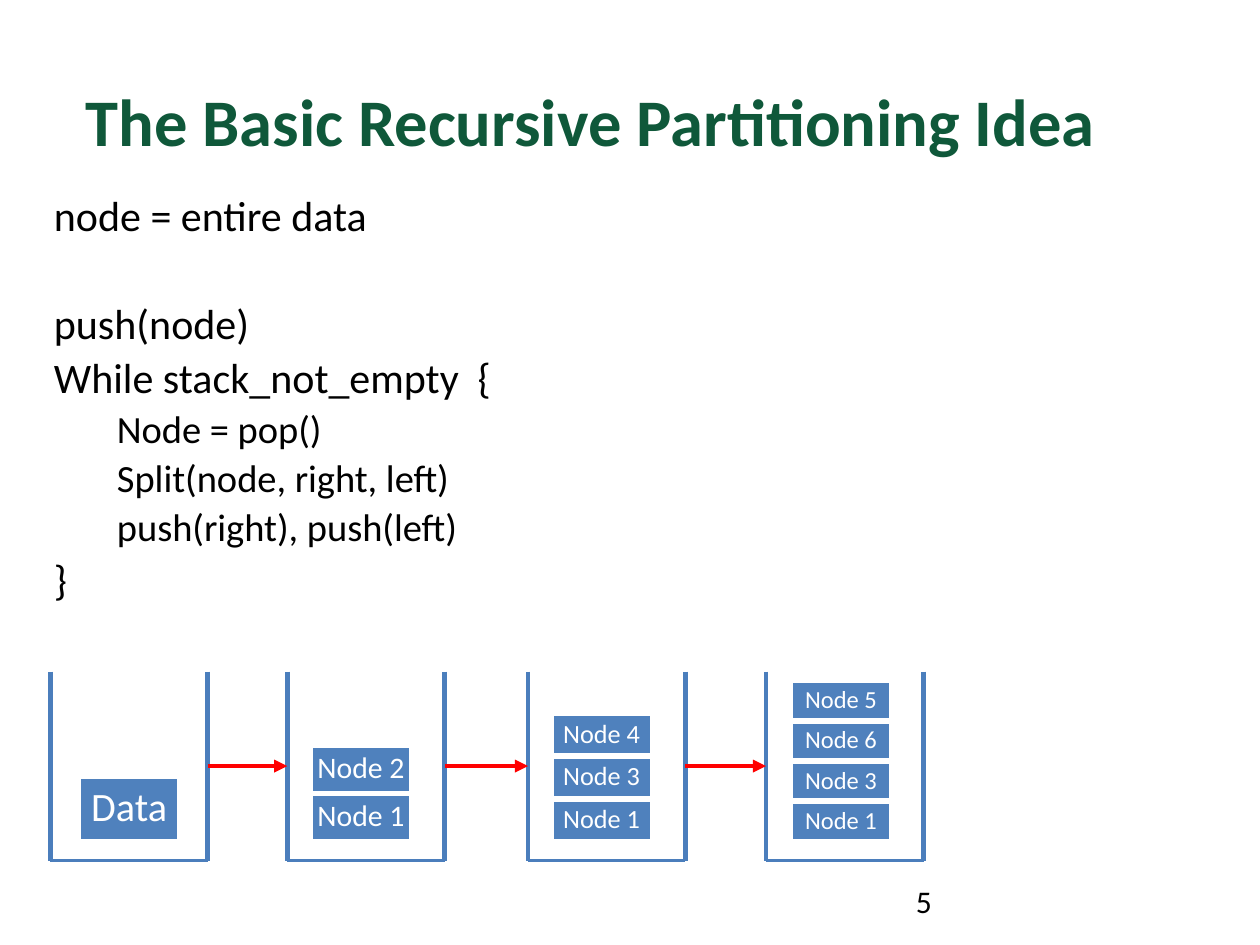
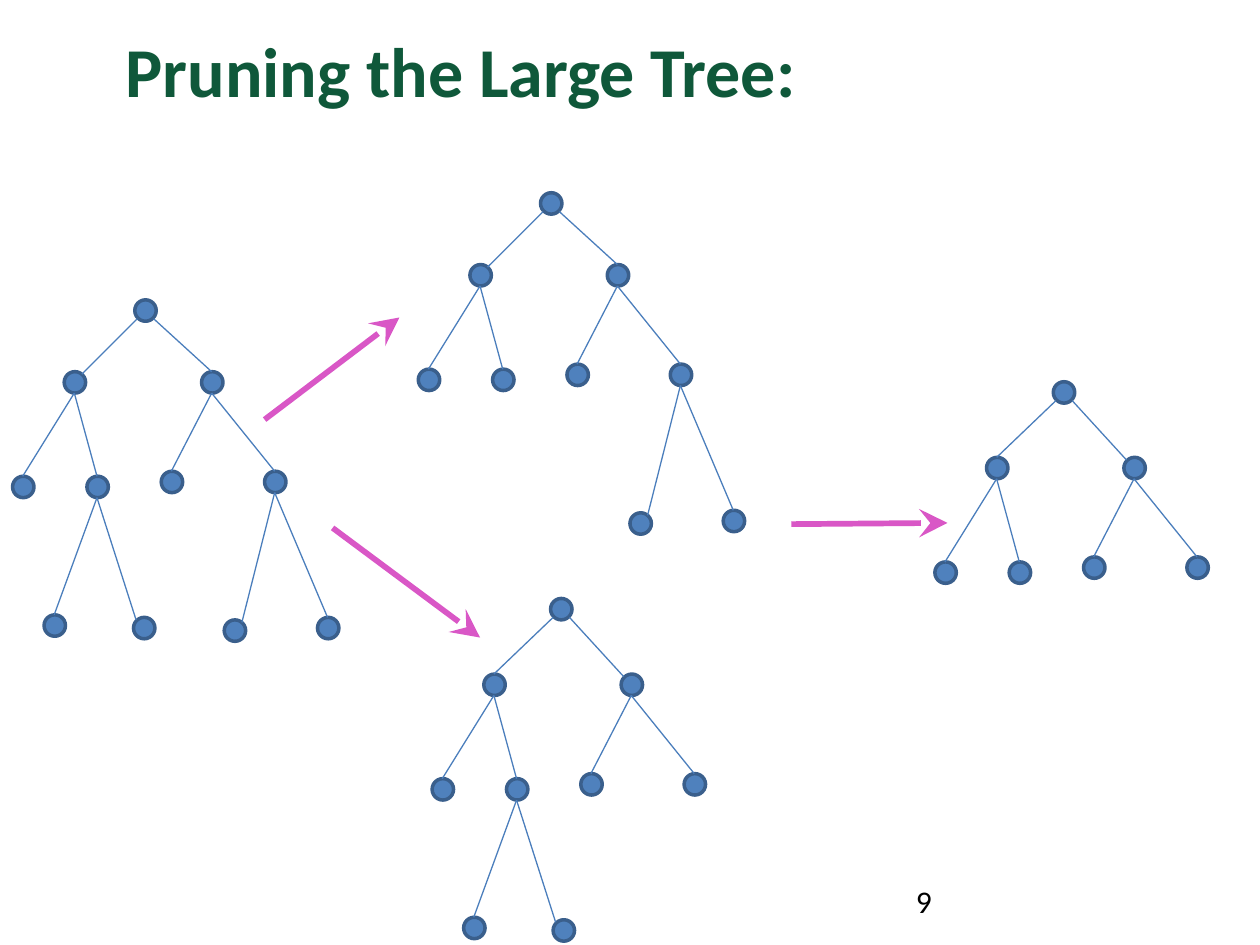
from itertools import pairwise

from lxml import etree
from pptx import Presentation
from pptx.dml.color import RGBColor
from pptx.enum.shapes import MSO_CONNECTOR as CONNECTOR, MSO_SHAPE as SHAPE
from pptx.enum.text import MSO_ANCHOR as ANCHOR, PP_ALIGN as ALIGN
from pptx.oxml.ns import qn
from pptx.util import Inches, Pt

# Shared look
FONT = "Calibri"
BLACK, WHITE, GREEN = "000000", "FFFFFF", "0F583A"
BLUE, EDGE_BLUE, RIM_BLUE = "4F81BD", "4B7EBC", "3A5F8C"
RED, PINK = "FF0000", "D957C6"

# Tree dots, placed from the top left corner of the root's left child "L"
DOT = 0.17
BRANCHES = {
    "L": (0, 0), "R": (1.09, 0),
    "LL": (-0.41, 0.83), "LR": (0.18, 0.83),
    "RL": (0.77, 0.79), "RR": (1.59, 0.79),
    "LRL": (-0.16, 1.93), "LRR": (0.55, 1.95),
    "RRL": (1.27, 1.97), "RRR": (2.01, 1.95),
}
# Points on a dot's rim
SITES = {
    "top": (0.08, 0), "bottom": (0.08, DOT),
    "top left": (0.02, 0.02), "top right": (0.14, 0.02),
    "bottom left": (0.02, 0.15), "bottom right": (0.15, 0.15),
}
START_SITES = {"L": "bottom left", "R": "bottom right"}
END_SITES = {"LRR": "top left", "RRL": "top right"}
# Root position and where its two edges land
CENTRED_ROOT = (0.56, -0.57), {"L": "top right", "R": "top"}
RAISED_ROOT = (0.53, -0.6), {"L": "top", "R": "top left"}


def rgb(value):
    return RGBColor.from_string(value)


def set_font(paragraph, size, color, bold=False):
    font = paragraph.font
    font.name, font.size, font.bold = FONT, Pt(size), bold
    font.color.rgb = rgb(color)


def add_text(slide, box, text, size, color=BLACK, bold=False, anchor=ANCHOR.TOP):
    frame = slide.shapes.add_textbox(*map(Inches, box)).text_frame
    frame.word_wrap = True
    frame.vertical_anchor = anchor
    frame.text = text
    set_font(frame.paragraphs[0], size, color, bold)


def add_title(slide, box, text, size):
    add_text(slide, box, text, size, GREEN, bold=True, anchor=ANCHOR.MIDDLE)


def add_page_number(slide, number):
    add_text(slide, (7.17, 6.95, 2.33, 0.4), str(number), 18)


def add_shape(slide, kind, box, line_color, line_width=2):
    shape = slide.shapes.add_shape(kind, *map(Inches, box))
    shape.shadow.inherit = False
    shape.fill.solid()
    shape.fill.fore_color.rgb = rgb(BLUE)
    shape.line.color.rgb = rgb(line_color)
    shape.line.width = Pt(line_width)
    return shape


def add_line(slide, start, end, color, width, head=None, head_size="med"):
    line = slide.shapes.add_connector(
        CONNECTOR.STRAIGHT, *map(Inches, (*start, *end)))
    line.line.color.rgb = rgb(color)
    line.line.width = Pt(width)
    if head:
        etree.SubElement(line.line._get_or_add_ln(), qn("a:tailEnd"),
                         type=head, w=head_size, len=head_size)
    etree.SubElement(line._element.spPr, qn("a:effectLst"))


def add_pseudocode(slide, box, steps):
    """Steps are (text, level, space before in points)."""
    frame = slide.shapes.add_textbox(*map(Inches, box)).text_frame
    frame.word_wrap = True
    for i, (text, level, space) in enumerate(steps):
        step = frame.add_paragraph() if i else frame.paragraphs[0]
        step.text = text
        step.level = level
        step.line_spacing = 0.9
        step.space_before = Pt(space)
        step._p.get_or_add_pPr().set("marL", str(Inches(0.5 * level)))
        set_font(step, 22 if level else 24, BLACK)


def add_stack(slide, box, nodes, node_left, height, pitch, size, inset):
    """An open container with its nodes listed from the top down."""
    left, top, width, depth = box
    right, floor = left + width, top + depth
    bottom_node = floor - 0.16 - height
    for level, name in enumerate(reversed(nodes)):
        node = add_shape(
            slide, SHAPE.RECTANGLE,
            (left + node_left, bottom_node - level * pitch, 0.79, height), WHITE)
        frame = node.text_frame
        frame.margin_left = frame.margin_right = Inches(inset)
        frame.margin_top = frame.margin_bottom = Inches(inset)
        # Labels fill the node's width, so they stay on one line
        frame.word_wrap = False
        frame.vertical_anchor = ANCHOR.MIDDLE
        frame.text = name
        label = frame.paragraphs[0]
        label.alignment = ALIGN.CENTER
        label.line_spacing = 0.9
        set_font(label, size, WHITE)
    # Walls and floor
    for x in (left, right):
        add_line(slide, (x, top), (x, floor), EDGE_BLUE, 2.75)
    add_line(slide, (left, floor), (right, floor), EDGE_BLUE, 2)


def add_tree(slide, origin, root, branches):
    root_place, root_ends = root
    places = {"": root_place} | {name: BRANCHES[name] for name in branches}
    end_sites = END_SITES | root_ends

    def point(name, site=(0, 0)):
        return [sum(parts) for parts in zip(origin, places[name], site)]

    for name in places:
        add_shape(slide, SHAPE.OVAL, (*point(name), DOT, DOT), RIM_BLUE)
    # A name without its last letter is the parent's name
    for name in branches:
        start = SITES[START_SITES.get(name, "bottom")]
        end = SITES[end_sites.get(name, "top")]
        add_line(slide, point(name[:-1], start), point(name, end), EDGE_BLUE, 0.75)


def build_partitioning(slide):
    add_title(slide, (0.58, 0.33, 8.5, 1.25),
              "The Basic Recursive Partitioning Idea", 38)
    add_pseudocode(slide, (0.33, 1.5, 9.67, 3.6), [
        ("node = entire data", 0, 0),
        ("push(node)", 0, 36),
        ("While stack_not_empty  {", 0, 4.8),
        ("Node = pop()", 1, 4.4),
        ("Split(node, right, left)", 1, 4.4),
        ("push(right), push(left)", 1, 4.4),
        ("}", 0, 4.8),
    ])
    # Stack states: left, nodes, node offset, height, pitch, text size, inset
    stacks = [
        (0.4, ["Data"], 0.23, 0.5, 0.5, 23, 0.06),
        (2.28, ["Node 2", "Node 1"], 0.19, 0.37, 0.38, 17, 0.05),
        (4.19, ["Node 4", "Node 3", "Node 1"], 0.19, 0.32, 0.34, 15, 0.04),
        (6.08, ["Node 5", "Node 6", "Node 3", "Node 1"], 0.2, 0.3, 0.32, 14, 0.04),
    ]
    top, width, depth = 5.33, 1.25, 1.5
    for left, *contents in stacks:
        add_stack(slide, (left, top, width, depth), *contents)
    # Arrows from each state to the next
    for (left, *_), (next_left, *_) in pairwise(stacks):
        y = top + depth / 2
        add_line(slide, (left + width, y), (next_left, y), RED, 2.5, "triangle")
    add_page_number(slide, 5)


def build_pruning(slide):
    add_title(slide, (0.9, 0.12, 8.5, 0.87), "Pruning the Large Tree:", 40)
    shallow = ["L", "R", "LL", "LR", "RL", "RR"]
    left_pair, right_pair = ["LRL", "LRR"], ["RRL", "RRR"]
    # Full tree, two partly pruned trees, fully pruned tree
    add_tree(slide, (0.51, 2.95), CENTRED_ROOT, shallow + left_pair + right_pair)
    add_tree(slide, (3.73, 2.1), CENTRED_ROOT, shallow + right_pair)
    add_tree(slide, (3.84, 5.35), RAISED_ROOT, shallow + left_pair)
    add_tree(slide, (7.83, 3.63), RAISED_ROOT, shallow)
    # Pruning steps
    for start, end in [((2.1, 3.33), (3.17, 2.52)),
                       ((2.64, 4.19), (3.81, 5.06)),
                       ((6.28, 4.16), (7.52, 4.15))]:
        add_line(slide, start, end, PINK, 3.25, "stealth", "lg")
    add_page_number(slide, 9)


def main():
    deck = Presentation()
    deck.slide_width, deck.slide_height = Inches(10), Inches(7.5)
    blank = deck.slide_layouts[6]
    for build in (build_partitioning, build_pruning):
        build(deck.slides.add_slide(blank))
    deck.save("out.pptx")


if __name__ == "__main__":
    main()
